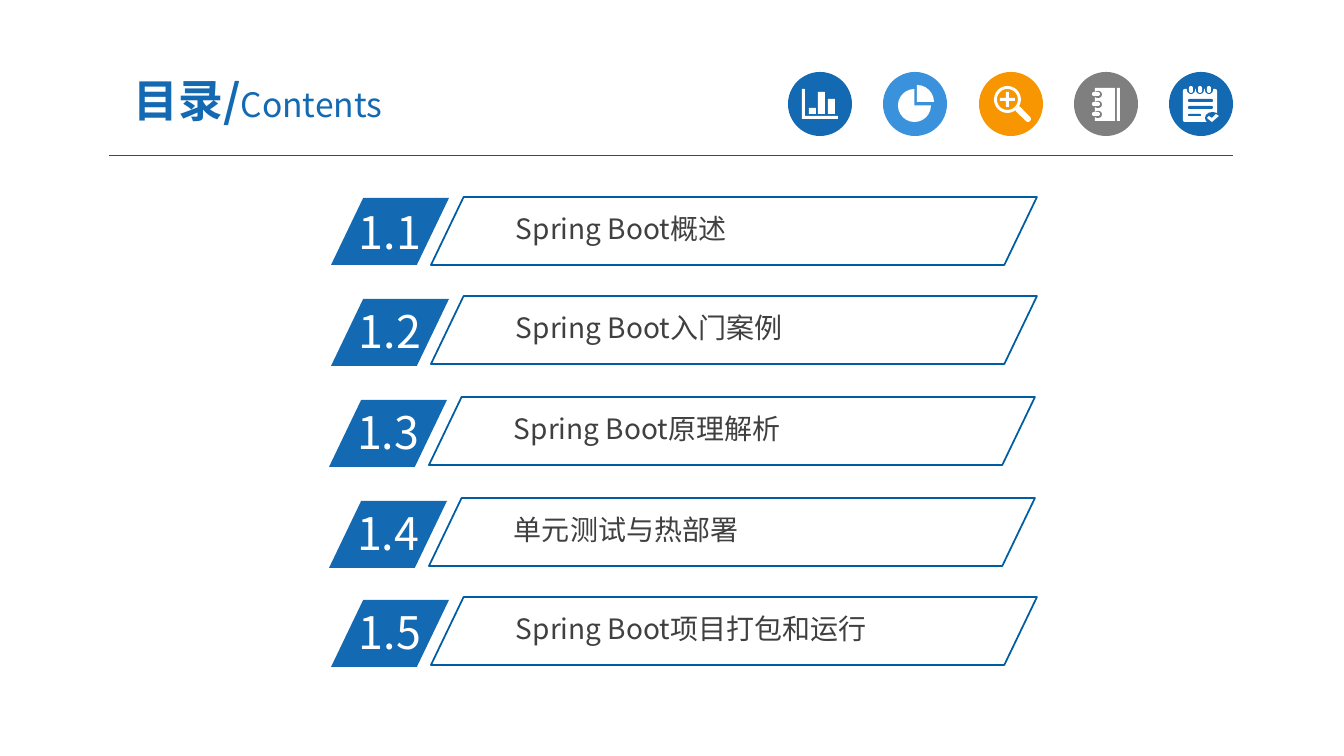
from lxml import etree
from pptx import Presentation, util as u
from pptx.dml.color import RGBColor
from pptx.enum import shapes, text
from pptx.oxml import ns

TITLE = [("目录/", 32, True), ("Contents", 24, False)]
ROWS = [
    ("1.1", "Spring Boot概述", 331, 197, 198),
    ("1.2", "Spring Boot入门案例", 331, 296, 299),
    ("1.3", "Spring Boot原理解析", 329, 397, 400),
    ("1.4", "单元测试与热部署", 329, 498, 501),
    ("1.5", "Spring Boot项目打包和运行", 331, 597, 600),
]
COLOURS = {
    "blue": "1369B2", "sky": "3992DB", "orange": "F79600", "grey": "7F7F7F",
    "white": "FFFFFF", "ink": "404040", "frame": "005DA2", "rule": "005B9E",
}
FONT = "Noto Sans CJK SC"
KIND = shapes.MSO_SHAPE
BAR, BOX, OVAL = KIND.ROUNDED_RECTANGLE, KIND.RECTANGLE, KIND.OVAL

AXES = [(14, 17), (17, 17), (17, 44), (50, 44), (50, 47), (14, 47)]
BARS = [(21, 36, 28, 42), (30, 20, 37, 42), (40, 27, 47, 42)]
chart_outlines = [AXES] + [
    [(x1, y1), (x2, y1), (x2, y2), (x1, y2)] for x1, y1, x2, y2 in BARS
]
pie_parts = [
    (KIND.PIE, "white", (15, 17, 33, 33)),
    (KIND.PIE_WEDGE, "white", (34, 13, 17, 17), 90),
]
lens_parts = [
    (KIND.DONUT, "white", (15, 14, 27, 27), 0, 0.11),
    (KIND.CROSS, "white", (21, 20, 15, 15), 0, 0.4),
    (BAR, "white", (34, 39, 20, 6), 45, 0.5),
]
notebook_parts = [(BOX, "white", (21, 16, 20, 33)), (BOX, "white", (43, 16, 3, 33))]
for ring_y in (22, 32, 42):
    notebook_parts += [
        (BAR, "grey", (20, ring_y - 3, 8, 7), 0, 0.5),
        (BAR, "white", (18, ring_y - 2, 8, 4), 0, 0.5),
    ]
checklist_parts = [(BAR, "white", (14, 17, 34, 33), 0, 0.06)]
for ring_x in (22, 31, 40):
    checklist_parts += [
        (BAR, "blue", (ring_x - 4, 13, 8, 9), 0, 0.5),
        (BAR, "white", (ring_x - 2, 14, 4, 7), 0, 0.5),
    ]
checklist_parts += [
    (BAR, "blue", (19, 27, 25, 3), 0, 0.5), (BAR, "blue", (19, 34, 25, 3), 0, 0.5),
    (BAR, "blue", (19, 42, 13, 2), 0, 0.5), (OVAL, "blue", (36, 40, 15, 12)),
]
TICK = [(38, 46), (40, 44), (43, 46), (47, 42), (50, 44), (43, 50)]
ICONS = [
    ("blue", [], chart_outlines), ("sky", pie_parts, []), ("orange", lens_parts, []),
    ("grey", notebook_parts, []), ("blue", checklist_parts, [TICK]),
]
ICON_LEFT, ICON_TOP, ICON_SIZE, ICON_STEP = 788, 72, 64, 95.3


def px(n):
    return u.Emu(round(n * 914400 / 100.8))


def rgb(name):
    return RGBColor.from_string(COLOURS[name])


def paint(part, colour):
    part.shadow.inherit = False
    part.fill.solid()
    part.fill.fore_color.rgb = rgb(colour)
    part.line.fill.background()


def add_part(kind, colour, box, turn=0, adjust=None):
    part = slide.shapes.add_shape(kind, *map(px, box))
    paint(part, colour)
    part.rotation = turn
    if adjust is not None:
        part.adjustments[0] = adjust
    return part


def add_glyph(outlines, left, top):
    placed = [[(px(left + x), px(top + y)) for x, y in points] for points in outlines]
    glyph = slide.shapes.build_freeform(*placed[0][0])
    for i, points in enumerate(placed):
        if i:
            glyph.move_to(*points[0])
        glyph.add_line_segments(points[1:], close=True)
    paint(glyph.convert_to_shape(), "white")


def add_words(box, runs, colour, inset, grow=True):
    words = slide.shapes.add_textbox(*map(px, box))
    frame = words.text_frame
    frame.word_wrap = True
    if grow:
        frame.auto_size = text.MSO_AUTO_SIZE.SHAPE_TO_FIT_TEXT
    frame.margin_left = frame.margin_right = px(inset[0])
    frame.margin_top = frame.margin_bottom = px(inset[1])
    for words_run, size, bold in runs:
        run = frame.paragraphs[0].add_run()
        run.text = words_run
        run.font.size = u.Pt(size)
        run.font.bold = bold
        run.font.color.rgb = rgb(colour)
        run.font.name = FONT
        etree.SubElement(run._r.get_or_add_rPr(), ns.qn("a:ea"), typeface=FONT)
    return frame


prs = Presentation()
prs.slide_width, prs.slide_height = px(1344), px(756)
slide = prs.slides.add_slide(prs.slide_layouts[6])

rule = slide.shapes.add_connector(
    shapes.MSO_CONNECTOR.STRAIGHT, px(109), px(156), px(1233), px(156))
rule.line.color.rgb = rgb("rule")
rule.line.width = u.Pt(0.75)
etree.SubElement(rule._element.spPr, ns.qn("a:effectLst"))

for i, (disc, parts, outlines) in enumerate(ICONS):
    left = round(ICON_LEFT + i * ICON_STEP)
    add_part(OVAL, disc, (left, ICON_TOP, ICON_SIZE, ICON_SIZE))
    for kind, colour, (x, y, w, h), *options in parts:
        add_part(kind, colour, (left + x, ICON_TOP + y, w, h), *options)
    if outlines:
        add_glyph(outlines, left, ICON_TOP)

title = add_words((92, 63, 332, 73), TITLE, "blue", (13, 7), grow=False)
title.vertical_anchor = text.MSO_ANCHOR.MIDDLE
title.paragraphs[0].alignment = text.PP_ALIGN.CENTER

for number, topic, left, top, badge_top in ROWS:
    add_part(KIND.PARALLELOGRAM, "blue", (left, badge_top, 118, 67), 0, 0.48)
    add_words((left + 18, top + 3, 113, 64), [(number, 32, False)], "white", (10, 5))
    add_words((left + 178, top + 10, 476, 41), [(topic, 20, False)], "ink", (7, 4))
    frame = add_part(KIND.PARALLELOGRAM, "white", (left + 100, top, 606, 68), 0, 0.48)
    frame.fill.background()
    frame.line.color.rgb = rgb("frame")
    frame.line.width = u.Pt(1.25)

prs.save("out.pptx")
